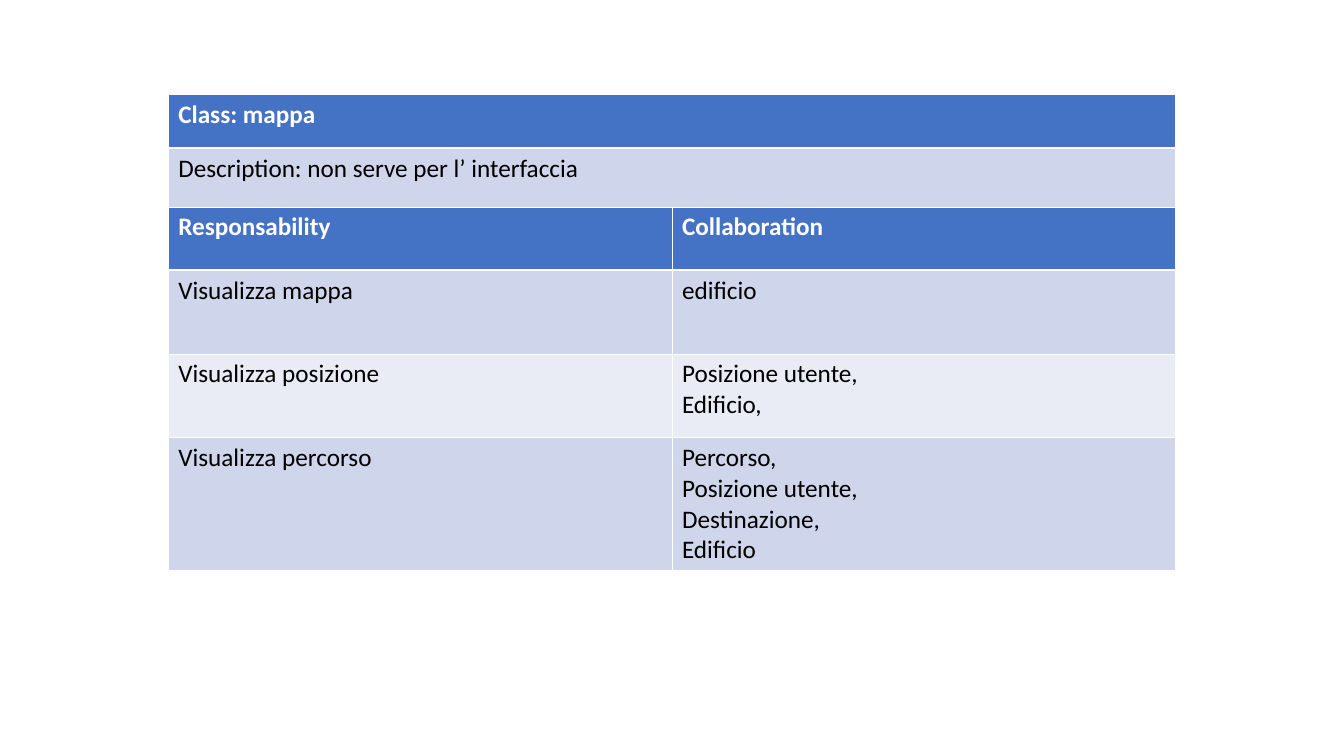
from dataclasses import dataclass

import lxml.etree
import pptx
import pptx.dml.color
import pptx.oxml.ns
import pptx.slide
import pptx.table
import pptx.util

Inches = pptx.util.Inches


@dataclass(frozen=True)
class Theme:
    font: str = "Calibri"
    text_size: int = 18
    header_fill: str = "4472C4"
    header_text: str = "FFFFFF"
    body_text: str = "000000"
    band_fills: tuple[str, str] = ("CFD5EA", "E9EBF5")
    border: str = "FFFFFF"
    thin_border: float = 0.45
    header_border: float = 1.47


@dataclass(frozen=True)
class Row:
    height: float
    cells: tuple[str, ...]  # one line of text per paragraph


@dataclass(frozen=True)
class CardTable:
    top: float
    rows: tuple[Row, ...]  # the first row is the header


THEME = Theme()
TABLE_LEFT, TABLE_WIDTH = 1.67, 10

RESPONSIBILITIES = CardTable(2.05, (
    Row(0.63, ("Responsability", "Collaboration")),
    Row(0.83, ("Visualizza mappa", "edificio")),
    Row(0.83, ("Visualizza posizione", "Posizione utente,\nEdificio,")),
    Row(1.32, ("Visualizza percorso",
               "Percorso,\nPosizione utente,\nDestinazione,\nEdificio")),
))
CLASS_HEADING = CardTable(0.94, (
    Row(0.53, ("Class: mappa",)),
    Row(0.59, ("Description: non serve per l’ interfaccia",)),
))


def color(value: str) -> pptx.dml.color.RGBColor:
    return pptx.dml.color.RGBColor.from_string(value)


def add_borders(cell: pptx.table._Cell, row_index: int) -> None:
    """Draw the cell edges, heavier between the header and the first row."""
    qn = pptx.oxml.ns.qn
    heavy_edge = {0: "B", 1: "T"}.get(row_index)
    properties = cell._tc.get_or_add_tcPr()
    for edge in "LRTB":
        width = THEME.header_border if edge == heavy_edge else THEME.thin_border
        line = lxml.etree.SubElement(
            properties, qn(f"a:ln{edge}"), w=str(int(pptx.util.Pt(width))))
        fill = lxml.etree.SubElement(line, qn("a:solidFill"))
        lxml.etree.SubElement(fill, qn("a:srgbClr"), val=THEME.border)


def fill_cell(cell: pptx.table._Cell, text: str, row_index: int) -> None:
    is_header = row_index == 0
    add_borders(cell, row_index)
    cell.fill.solid()
    cell.fill.fore_color.rgb = color(
        THEME.header_fill if is_header else THEME.band_fills[(row_index - 1) % 2])
    for index, content in enumerate(text.split("\n")):
        frame = cell.text_frame
        paragraph = frame.add_paragraph() if index else frame.paragraphs[0]
        run = paragraph.add_run()
        run.text = content
        run.font.name = THEME.font
        run.font.size = pptx.util.Pt(THEME.text_size)
        run.font.bold = is_header
        run.font.color.rgb = color(
            THEME.header_text if is_header else THEME.body_text)


def add_card_table(slide: pptx.slide.Slide, card: CardTable) -> None:
    column_count = len(card.rows[0].cells)
    table = slide.shapes.add_table(
        len(card.rows), column_count, Inches(TABLE_LEFT), Inches(card.top),
        Inches(TABLE_WIDTH), Inches(sum(row.height for row in card.rows))).table
    table.horz_banding = False
    for column in table.columns:
        column.width = Inches(TABLE_WIDTH / column_count)
    for row_index, row in enumerate(card.rows):
        table.rows[row_index].height = Inches(row.height)
        for column_index, text in enumerate(row.cells):
            fill_cell(table.cell(row_index, column_index), text, row_index)


def main() -> None:
    # Blank slide
    presentation = pptx.Presentation()
    presentation.slide_width = Inches(13.34)
    presentation.slide_height = Inches(7.5)
    slide = presentation.slides.add_slide(presentation.slide_layouts[6])

    # Class card
    for card in (RESPONSIBILITIES, CLASS_HEADING):
        add_card_table(slide, card)

    presentation.save("out.pptx")


if __name__ == "__main__":
    main()
